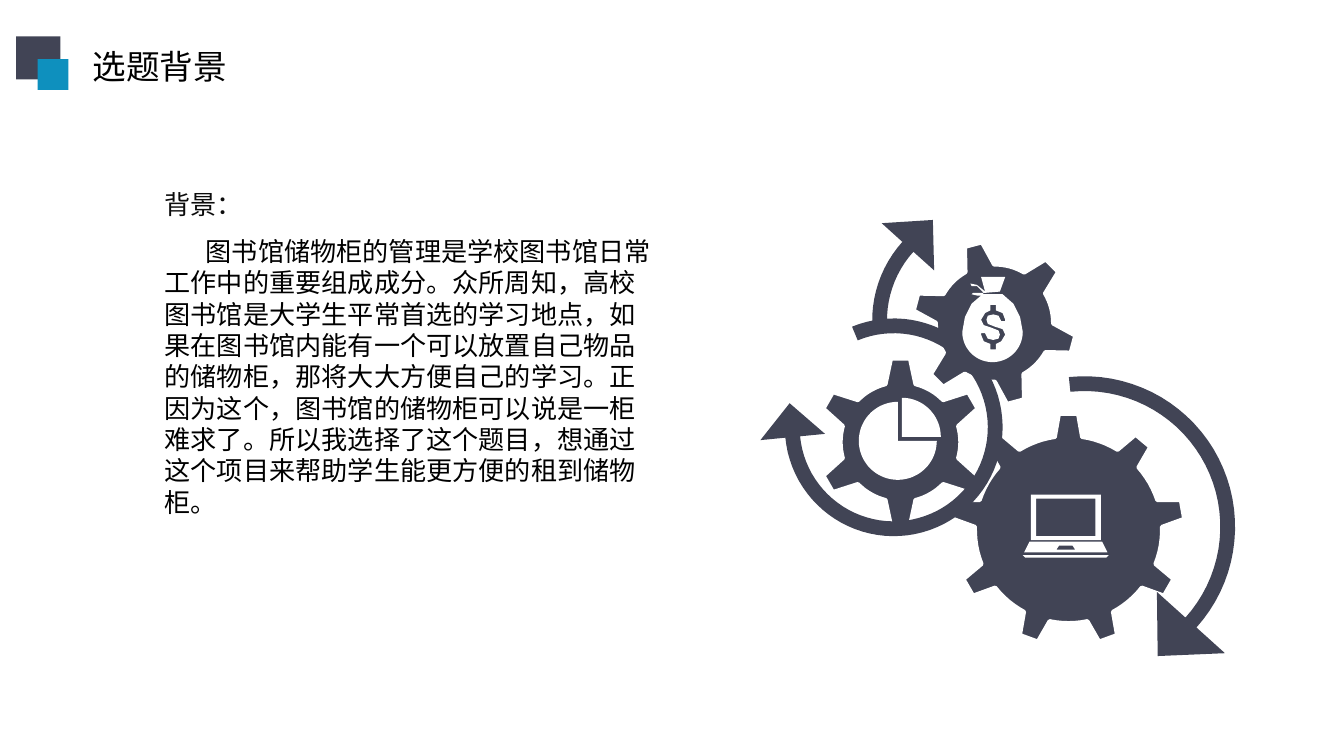
from math import cos, radians, sin

from lxml import etree
from pptx import Presentation
from pptx import util as u
from pptx.dml.color import RGBColor
from pptx.enum import shapes, text
from pptx.oxml.ns import qn

HUES = {"navy": "414455", "blue": "0E90BE", "white": "FFFFFF",
        "black": "000000", "ink": "0C0C0C"}
FONT = "Noto Sans CJK SC"
CELL = u.Inches(0.1)  # the grid is 100 columns by 56.25 rows


def hue(name):
    return RGBColor.from_string(HUES[name])


def write(shape, words, size=14, color="black", indent=0, wrap=True):
    """Fill a text shape with one plain, left-aligned paragraph."""
    frame = shape.text_frame
    frame.word_wrap = wrap
    frame.auto_size = text.MSO_AUTO_SIZE.NONE
    frame.vertical_anchor = text.MSO_ANCHOR.TOP
    para = frame.paragraphs[0]
    para.alignment = text.PP_ALIGN.LEFT
    para.space_before = u.Pt(0)
    para.line_spacing = u.Pt(size * 1.2)
    run = para.add_run()
    run.text = words
    run.font.size = u.Pt(size)
    run.font.name = FONT
    run.font.color.rgb = hue(color)
    east = etree.SubElement(run.font._element, qn("a:ea"))
    east.set("typeface", FONT)
    props = para._p.get_or_add_pPr()
    props.set("marL", "0")
    props.set("indent", str(int(indent * CELL)))
    etree.SubElement(props, qn("a:buNone"))


def polar(mid, rad, deg):
    """Point at a clockwise angle from twelve o'clock."""
    turn = radians(deg)
    return mid[0] + rad * sin(turn), mid[1] - rad * cos(turn)


def arc(mid, rad, start, end):
    count = max(2, round(abs(end - start) / 4))
    return [polar(mid, rad, start + (end - start) * i / count)
            for i in range(count + 1)]


def box(left, top, right, low):
    return [(left, top), (right, top), (right, low), (left, low)]


class Deck:
    def __init__(self):
        self.show = Presentation()
        self.show.slide_width = 100 * CELL
        self.show.slide_height = int(56.25 * CELL)
        self.slide = self.show.slides.add_slide(self.show.slide_layouts[1])

    def place(self, shape, left, top, width, height):
        shape.left, shape.top, shape.width, shape.height = (
            int(n * CELL) for n in (left, top, width, height))

    def holder(self, index, area, words, **style):
        shape = self.slide.placeholders[index]
        self.place(shape, *area)
        write(shape, words, **style)

    def label(self, area, words, **style):
        shape = self.slide.shapes.add_textbox(0, 0, 0, 0)
        self.place(shape, *area)
        write(shape, words, **style)

    def paint(self, shape, fill, edge=None):
        shape.shadow.inherit = False
        shape.fill.solid()
        shape.fill.fore_color.rgb = hue(fill)
        if edge:
            shape.line.color.rgb = hue(edge)
            shape.line.width = u.Pt(2)
        else:
            shape.line.fill.background()

    def block(self, area, fill):
        shape = self.slide.shapes.add_shape(
            shapes.MSO_SHAPE.RECTANGLE, 0, 0, 0, 0)
        self.place(shape, *area)
        self.paint(shape, fill)

    def outline(self, *loops, fill="white", edge=None):
        """Closed loops in one shape; an inner loop is a hole."""
        first, *holes = [[(x * CELL, y * CELL) for x, y in loop]
                         for loop in loops]
        pen = self.slide.shapes.build_freeform(*first[0])
        pen.add_line_segments(first[1:], close=True)
        for hole in holes:
            pen.move_to(*hole[0])
            pen.add_line_segments(hole[1:], close=True)
        self.paint(pen.convert_to_shape(), fill, edge)

    def gear(self, mid, teeth, first, body, tip, foot, crest):
        """Teeth span foot degrees each side at the body, crest at the tip."""
        step = 360 / teeth
        points = []
        for i in range(teeth):
            deg = first + i * step
            points += [polar(mid, tip, deg - crest), polar(mid, tip, deg + crest)]
            points += arc(mid, body, deg + foot, deg + step - foot)
        self.outline(points, fill="navy", edge="white")

    def sweep(self, mid, rad, start, end):
        """Curved band that ends in a clockwise arrowhead."""
        inner = rad - 1.1
        axis = (rad + inner) / 2
        half = 0.32 * axis
        head = [polar(mid, axis + half, end), polar(mid, axis + 0.4, end + 18.5),
                polar(mid, axis - half, end)]
        self.outline(arc(mid, rad, start, end) + head
                     + arc(mid, inner, end, start), fill="navy")


def main():
    deck = Deck()

    # Gears and their arrows
    deck.gear((79.5, 39.4), 9, 0, 6.95, 8.63, 8.3, 4.65)
    deck.gear((67, 32.9), 6, 0, 4.44, 6.24, 14.4, 6.4)
    deck.gear((74, 24.05), 6, 45, 4.35, 6.07, 14.5, 6.1)
    deck.sweep((80.7, 39.2), 11.2, -6, 132)
    deck.sweep((66.5, 31.8), 8.1, -22.5, 264.5)
    deck.sweep((73.65, 23.85), 8.75, -95, -48)

    # Laptop: base with touchpad, screen, foot
    deck.outline([(76.6, 40.3), (82, 40.3), (82.4, 41.1), (76.2, 41.1)],
                 [(78.8, 40.6), (79.8, 40.6), (80, 40.9), (78.6, 40.9)])
    deck.outline(box(76.7, 36.8, 81.9, 40.2), box(77.1, 37.1, 81.5, 39.9))
    deck.outline([(76.1, 41.3), (82.5, 41.3), (82.3, 41.5), (76.3, 41.5)])

    # Pie chart with a quarter pulled out
    for mid, start, end in (((66.8, 32.8), 90, 360), ((67.1, 32.5), 0, 90)):
        deck.outline([mid] + arc(mid, 2.9, start, end))

    # Money bag: neck with ribbon, then sack with dollar sign
    deck.outline([(73, 20.6), (74.8, 20.6), (74.4, 21.7), (73.2, 21.8),
                  (72.7, 21.3), (72.3, 21.3), (72.2, 21.1), (72.7, 21.2),
                  (73.3, 21.7)])
    sack = arc((73.85, 24.7), 2.25, 90, 270) + [
        (71.8, 23.6), (72.3, 22.6), (73, 22), (72.7, 22), (72.3, 21.9),
        (72.4, 21.8), (73.2, 21.8), (73.1, 21.9), (74.6, 21.9),
        (75.4, 22.6), (75.9, 23.6)]
    hook = [(74.8, 24.9), (74.5, 25.4), (74.1, 25.6), (74.1, 26), (73.7, 26),
            (73.7, 25.6), (73.2, 25.4), (73, 24.9), (73, 24.8), (73.3, 24.8),
            (73.5, 25.2), (73.9, 25.3), (74.3, 25.2), (74.4, 24.9),
            (74.3, 24.6), (73.8, 24.4), (73.2, 24.2)]
    turned = [(147.8 - x, 48.7 - y) for x, y in hook]
    deck.outline(sack, hook + turned)

    # Title mark
    deck.block((1.2, 2.7, 3.3, 3.2), "navy")
    deck.block((2.8, 4.4, 2.3, 2.3), "blue")

    # Words
    deck.holder(0, (5.9, 2.9, 12.1, 4), "选题背景", size=18, wrap=False)
    deck.label((11.25, 13.5, 7.9, 3.4), "背景：", color="ink", wrap=False)
    deck.holder(1, (11.25, 17, 38.5, 19.9),
                "图书馆储物柜的管理是学校图书馆日常工作中的重要组成成分。"
                "众所周知，高校图书馆是大学生平常首选的学习地点，"
                "如果在图书馆内能有一个可以放置自己物品的储物柜，"
                "那将大大方便自己的学习。正因为这个，"
                "图书馆的储物柜可以说是一柜难求了。所以我选择了这个题目，"
                "想通过这个项目来帮助学生能更方便的租到储物柜。", indent=3.05)

    deck.show.save("out.pptx")


if __name__ == "__main__":
    main()
